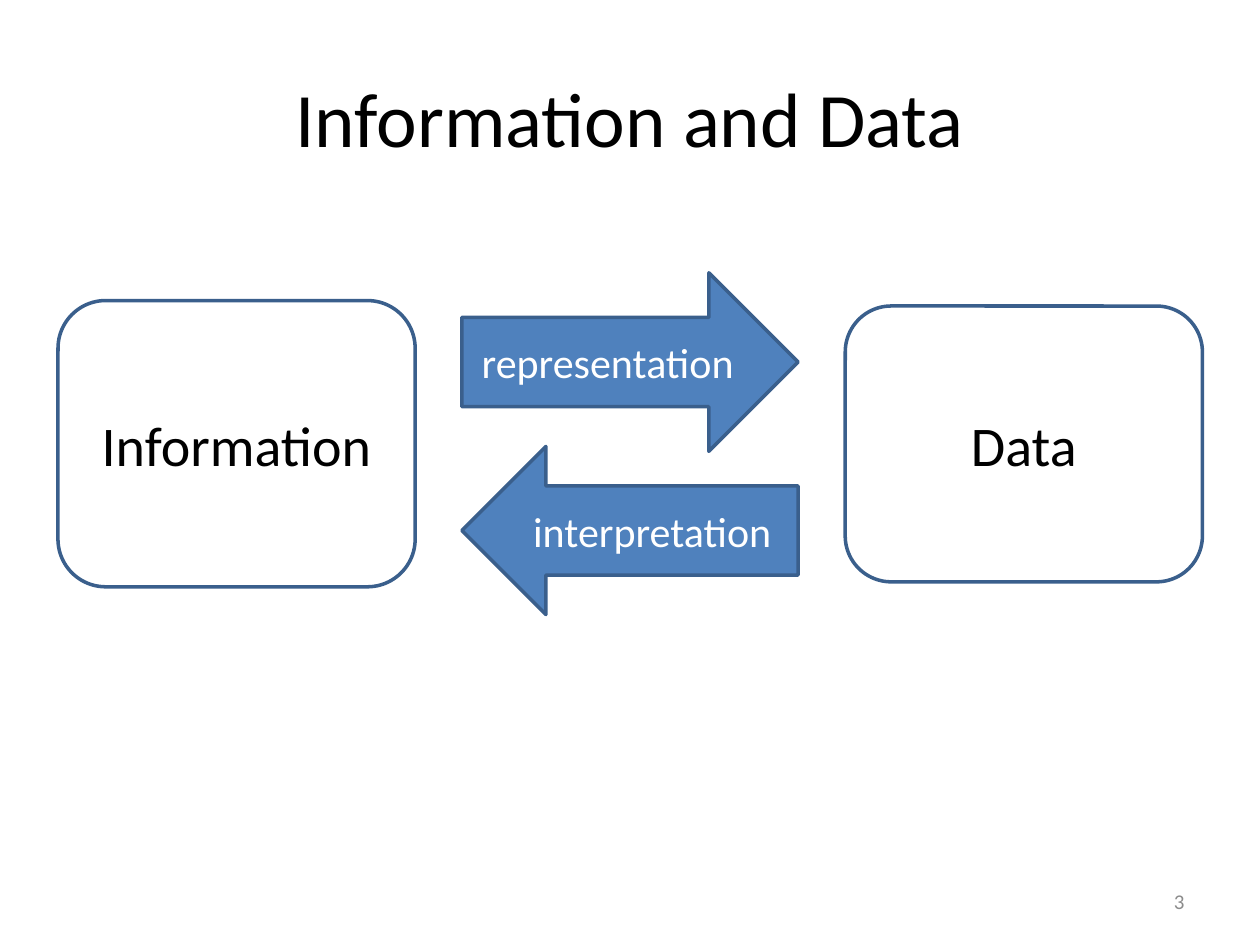
from pptx import Presentation
from pptx.dml.color import RGBColor
from pptx.enum.shapes import MSO_SHAPE
from pptx.enum.text import MSO_ANCHOR, PP_ALIGN
from pptx.util import Cm, Pt


def tint(code):
    return RGBColor.from_string(code)


def write(shape, text, size=24, color="000000", align=PP_ALIGN.CENTER):
    frame = shape.text_frame
    frame.word_wrap = True
    frame.vertical_anchor = MSO_ANCHOR.MIDDLE
    para = frame.paragraphs[0]
    para.alignment = align
    run = para.add_run()
    run.text = text
    run.font.name = "Calibri"
    run.font.size = Pt(size)
    run.font.color.rgb = tint(color)


deck = Presentation()
deck.slide_width, deck.slide_height = Cm(25.4), Cm(19.05)
slide = deck.slides.add_slide(deck.slide_layouts[5])

# Title
title = slide.shapes.title
title.left, title.top = Cm(1.27), Cm(0.76)
title.width, title.height = Cm(22.86), Cm(3.18)
write(title, "Information and Data", size=44)

# Two boxes joined by an arrow each way
white, blue = "FFFFFF", "4F81BD"
box = MSO_SHAPE.ROUNDED_RECTANGLE
parts = [
    (box, "Information", 1.17, 6.06, 7.2, 5.77, None, 32, "000000"),
    (box, "Data", 17.04, 6.17, 7.2, 5.56, None, 32, "000000"),
    (MSO_SHAPE.RIGHT_ARROW, "representation", 9.31, 5.5, 6.78, 3.6, blue, 24, white),
    (MSO_SHAPE.LEFT_ARROW, "interpretation", 9.31, 9, 6.78, 3.39, blue, 24, white),
]
group = slide.shapes.add_group_shape()
for kind, text, left, top, width, height, fill, size, color in parts:
    shape = group.shapes.add_shape(kind, Cm(left), Cm(top), Cm(width), Cm(height))
    shape.shadow.inherit = False
    if fill:
        shape.fill.solid()
        shape.fill.fore_color.rgb = tint(fill)
    else:
        shape.fill.background()
    shape.line.color.rgb = tint("3A5F8C")
    shape.line.width = Pt(2)
    if kind == MSO_SHAPE.LEFT_ARROW:
        shape.adjustments[0] = 0.53
    write(shape, text, size=size, color=color)

# Page number
page = slide.shapes.add_textbox(Cm(18.2), Cm(17.66), Cm(5.93), Cm(1.01))
write(page, "3", size=12, color="8C8C8C", align=PP_ALIGN.RIGHT)

deck.save("out.pptx")
